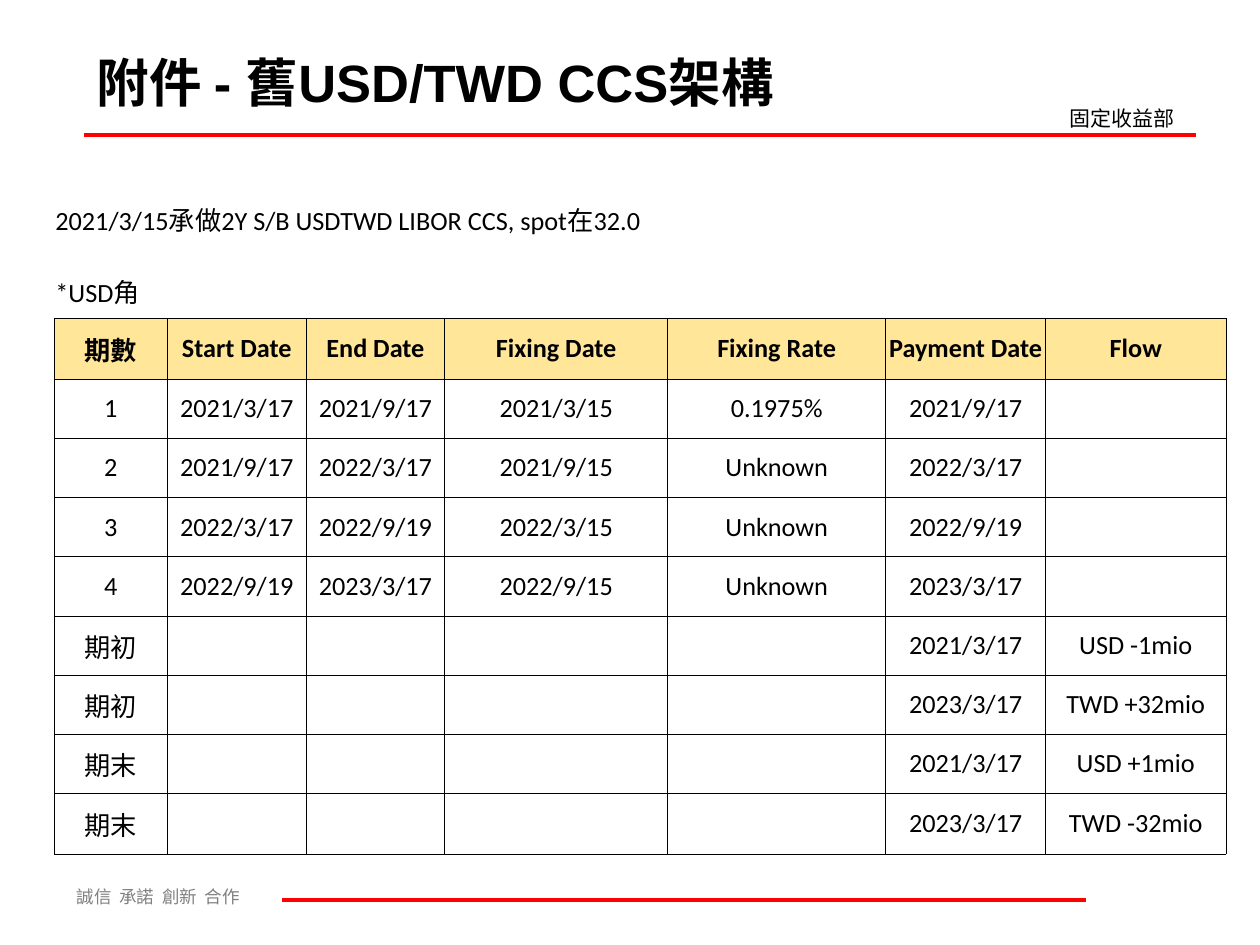
from dataclasses import dataclass

from lxml.etree import SubElement
from pptx import Presentation
from pptx.dml.color import RGBColor as RGB
from pptx.enum.shapes import MSO_CONNECTOR as Connector
from pptx.enum.text import MSO_ANCHOR as Anchor, PP_ALIGN as Align
from pptx.oxml.ns import qn
from pptx.util import Inches, Pt


@dataclass(frozen=True)
class Theme:
    """Colours, fonts and type sizes of the slide."""
    black: RGB = RGB(0, 0, 0)
    grey: RGB = RGB(0x80, 0x80, 0x80)
    red: RGB = RGB(0xFF, 0, 0)
    header: RGB = RGB(0xFF, 0xE6, 0x99)
    cjk: str = "Noto Sans CJK SC"
    table_cjk: str = "Noto Sans CJK TC"
    title_font: str = "Arial"
    table_font: str = "Calibri"
    title_size: float = 30
    table_size: float = 15
    label_size: float = 12
    footer_size: float = 10
    rule: float = 2.25
    border: float = 0.45


T = Theme()
COLS = [0.9, 1.1, 1.1, 1.77, 1.73, 1.27, 1.43]
ROWS = [0.7, 0.44, 0.48] + [0.47] * 7 + [0.48]
HEADS = ["期數", "Start Date", "End Date", "Fixing Date", "Fixing Rate",
         "Payment Date", "Flow"]
PERIODS = [
    ("2021/3/17", "2021/9/17", "2021/3/15", "0.1975%"),
    ("2021/9/17", "2022/3/17", "2021/9/15", "Unknown"),
    ("2022/3/17", "2022/9/19", "2022/3/15", "Unknown"),
    ("2022/9/19", "2023/3/17", "2022/9/15", "Unknown"),
]
EXCHANGES = [
    ("期初", "2021/3/17", "USD -1mio"),
    ("期初", "2023/3/17", "TWD +32mio"),
    ("期末", "2021/3/17", "USD +1mio"),
    ("期末", "2023/3/17", "TWD -32mio"),
]


def style(p, size, latin, cjk, color=T.black, bold=False):
    """Set the Latin and East Asian fonts of a paragraph."""
    font = p.font
    font.size, font.bold, font.name = Pt(size), bold, latin
    font.color.rgb = color
    props = p._p.pPr.find(qn("a:defRPr"))
    SubElement(props, qn("a:ea")).set("typeface", cjk)


def add_text(s, box, text, size, latin=T.cjk, color=T.black, bold=False,
             before=0, anchor=Anchor.TOP):
    """Add a one-paragraph text box."""
    tf = s.shapes.add_textbox(*map(Inches, box)).text_frame
    tf.word_wrap, tf.vertical_anchor = True, anchor
    p = tf.paragraphs[0]
    p.text, p.space_before = text, Pt(before)
    style(p, size, latin, T.cjk, color, bold)


def add_rule(s, left, right, y):
    """Add a horizontal red rule."""
    line = s.shapes.add_connector(Connector.STRAIGHT, Inches(left), Inches(y),
                                  Inches(right), Inches(y))
    line.line.color.rgb, line.line.width = T.red, Pt(T.rule)
    SubElement(line._element.spPr, qn("a:effectLst"))


def set_borders(cell, visible):
    """Draw the cell edges named in visible and clear the others."""
    tc_pr = cell._tc.get_or_add_tcPr()
    for side in "LRTB":
        ln = SubElement(tc_pr, qn(f"a:ln{side}"), w=str(Pt(T.border)))
        if side in visible:
            fill = SubElement(ln, qn("a:solidFill"))
            SubElement(fill, qn("a:srgbClr"), val=str(T.black))
        else:
            SubElement(ln, qn("a:noFill"))


def fill_cell(cell, text, row):
    """Format one table cell according to its row."""
    set_borders(cell, ("", "B")[row] if row < 2 else "LRTB")
    if row == 2:
        cell.fill.solid()
        cell.fill.fore_color.rgb = T.header
    else:
        cell.fill.background()
    cell.margin_left = cell.margin_right = Inches(0.01)
    cell.vertical_anchor = Anchor.MIDDLE
    p = cell.text_frame.paragraphs[0]
    p.text = text
    p.alignment = Align.LEFT if row < 2 else Align.CENTER
    style(p, T.table_size, T.table_font, T.table_cjk, bold=row == 2)


def add_schedule(s, left, top):
    """Add the cash-flow schedule with its two caption rows."""
    data = [["2021/3/15承做2Y S/B USDTWD LIBOR CCS, spot在32.0"], ["*USD角"], HEADS]
    data += [[str(n), *period, period[1]] for n, period in enumerate(PERIODS, 1)]
    data += [[name, "", "", "", "", date, flow] for name, date, flow in EXCHANGES]
    table = s.shapes.add_table(len(ROWS), len(COLS), Inches(left), Inches(top),
                               Inches(sum(COLS)), Inches(sum(ROWS))).table
    table.first_row = table.horz_banding = False
    for col, width in zip(table.columns, COLS):
        col.width = Inches(width)
    for r, (height, values) in enumerate(zip(ROWS, data)):
        table.rows[r].height = Inches(height)
        for c in range(len(COLS)):
            fill_cell(table.cell(r, c), values[c] if c < len(values) else "", r)
    table.cell(0, 0).merge(table.cell(0, 3))


def main():
    """Build and save the slide."""
    prs = Presentation()
    prs.slide_width, prs.slide_height = Inches(10), Inches(7.5)
    s = prs.slides.add_slide(prs.slide_layouts[6])
    add_text(s, (0.51, 6.98, 2.52, 0.27), "誠信  承諾  創新  合作", T.footer_size,
             color=T.grey, before=6.2)
    add_rule(s, 0.67, 9.49, 1.07)
    add_rule(s, 2.24, 8.62, 7.14)
    add_text(s, (8.39, 0.79, 1.26, 0.3), "固定收益部", T.label_size, before=7.5)
    add_text(s, (0.67, 0.3, 7.32, 0.69), "附件 - 舊USD/TWD CCS架構", T.title_size,
             T.title_font, bold=True, anchor=Anchor.MIDDLE)
    add_schedule(s, 0.43, 1.39)
    prs.save("out.pptx")


if __name__ == "__main__":
    main()
